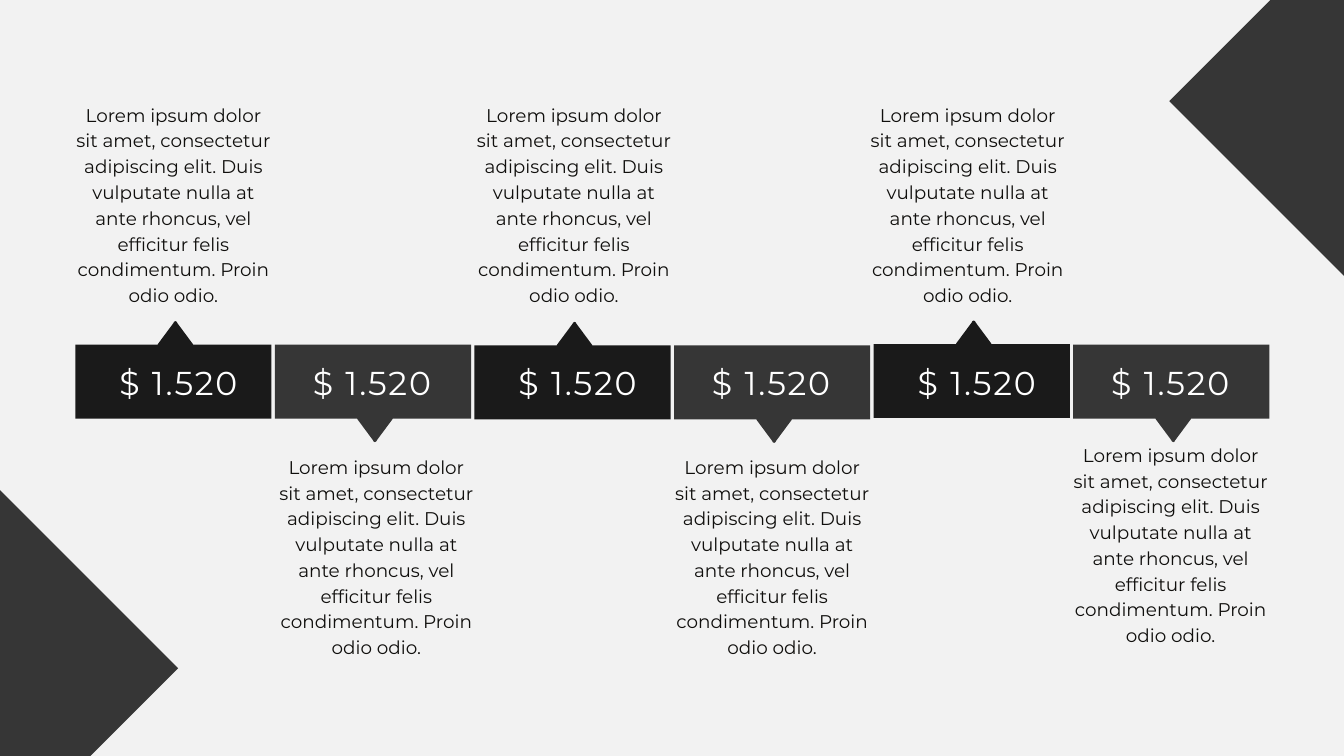
from pptx import Presentation
from pptx.dml.color import RGBColor
from pptx.enum.shapes import MSO_SHAPE
from pptx.enum.text import PP_ALIGN
from pptx.util import Inches, Pt

RECT, DIAMOND = MSO_SHAPE.RECTANGLE, MSO_SHAPE.DIAMOND
CENTER = PP_ALIGN.CENTER
FONT = "Montserrat"
BLACK, GRAY, INK, WHITE, PAPER = "1A1A1A", "363636", "100F0D", "FFFFFF", "F2F2F2"

PRICE = "$ 1.520"
BODY = ("Lorem ipsum dolor sit amet, consectetur adipiscing elit. Duis vulputate "
        "nulla at ante rhoncus, vel efficitur felis condimentum. Proin odio odio.")
STEPS = [
    {"price": PRICE, "body": BODY, "top": 5.13, "note": (1.12, 1.49)},
    {"price": PRICE, "body": BODY, "top": 5.13, "note": (4.14, 6.73)},
    {"price": PRICE, "body": BODY, "top": 5.14, "note": (7.08, 1.49)},
    {"price": PRICE, "body": BODY, "top": 5.14, "note": (10.03, 6.73)},
    {"price": PRICE, "body": BODY, "top": 5.12, "note": (12.94, 1.49)},
    {"price": PRICE, "body": BODY, "top": 5.13, "note": (15.96, 6.55)},
]
CORNERS = [(17.4, -1.47), (-3.3, 6.97)]
SIDE = 5.95

LEFT, PITCH, WIDE, HIGH = 1.12, 2.97, 2.92, 1.1
TIP = [(-0.26, 0.34), (-0.03, 0.03), (-0.02, 0.01), (0, 0), (0.02, 0.01), (0.03, 0.03),
       (0.26, 0.34), (0.27, 0.37), (0.26, 0.39), (0.23, 0.4),
       (-0.23, 0.4), (-0.26, 0.39), (-0.27, 0.37)]


def color(code):
    return RGBColor.from_string(code)


def paint(shape, code):
    shape.shadow.inherit = False
    shape.fill.solid()
    shape.fill.fore_color.rgb = color(code)
    shape.line.fill.background()


def block(slide, kind, x, y, w, h, code):
    shape = slide.shapes.add_shape(kind, Inches(x), Inches(y), Inches(w), Inches(h))
    paint(shape, code)


def arrow(slide, x, y, sign, code):
    dots = [(Inches(x + dx), Inches(y + sign * dy)) for dx, dy in TIP]
    form = slide.shapes.build_freeform(*dots[0])
    form.add_line_segments(dots[1:], close=True)
    paint(form.convert_to_shape(), code)


def write(slide, text, x, y, w, h, size, lead, code, gap=0):
    frame = slide.shapes.add_textbox(Inches(x), Inches(y), Inches(w), Inches(h)).text_frame
    frame.word_wrap = True
    frame.margin_left = frame.margin_right = frame.margin_top = frame.margin_bottom = 0
    para = frame.paragraphs[0]
    para.alignment = CENTER
    para.line_spacing = Pt(lead)
    run = para.add_run()
    run.text = text
    run.font.name = FONT
    run.font.size = Pt(size)
    run.font.color.rgb = color(code)
    if gap:
        run.font._element.set("spc", str(gap * 100))


def main():
    deck = Presentation()
    deck.slide_width, deck.slide_height = Inches(20), Inches(11.25)
    slide = deck.slides.add_slide(deck.slide_layouts[6])
    slide.background.fill.solid()
    slide.background.fill.fore_color.rgb = color(PAPER)

    for i, step in enumerate(STEPS):
        x, y = LEFT + i * PITCH, step["top"]
        up = i % 2 == 0
        code = BLACK if up else GRAY
        block(slide, RECT, x, y, WIDE, HIGH, code)
        mid = x + WIDE / 2 + 0.03
        if up:
            arrow(slide, mid, y - 0.35, 1, code)
        else:
            arrow(slide, mid, y + HIGH + 0.35, -1, code)
        inset = 0.41 if up else 0.32
        write(slide, step["price"], x + inset, 5.36, 2.25, 0.62, 35.4, 45, WHITE, 2)
        write(slide, step["body"], *step["note"], WIDE, 2.99, 19.7, 27.6, INK)

    for x, y in CORNERS:
        block(slide, DIAMOND, x, y, SIDE, SIDE, GRAY)
    deck.save("out.pptx")


if __name__ == "__main__":
    main()
